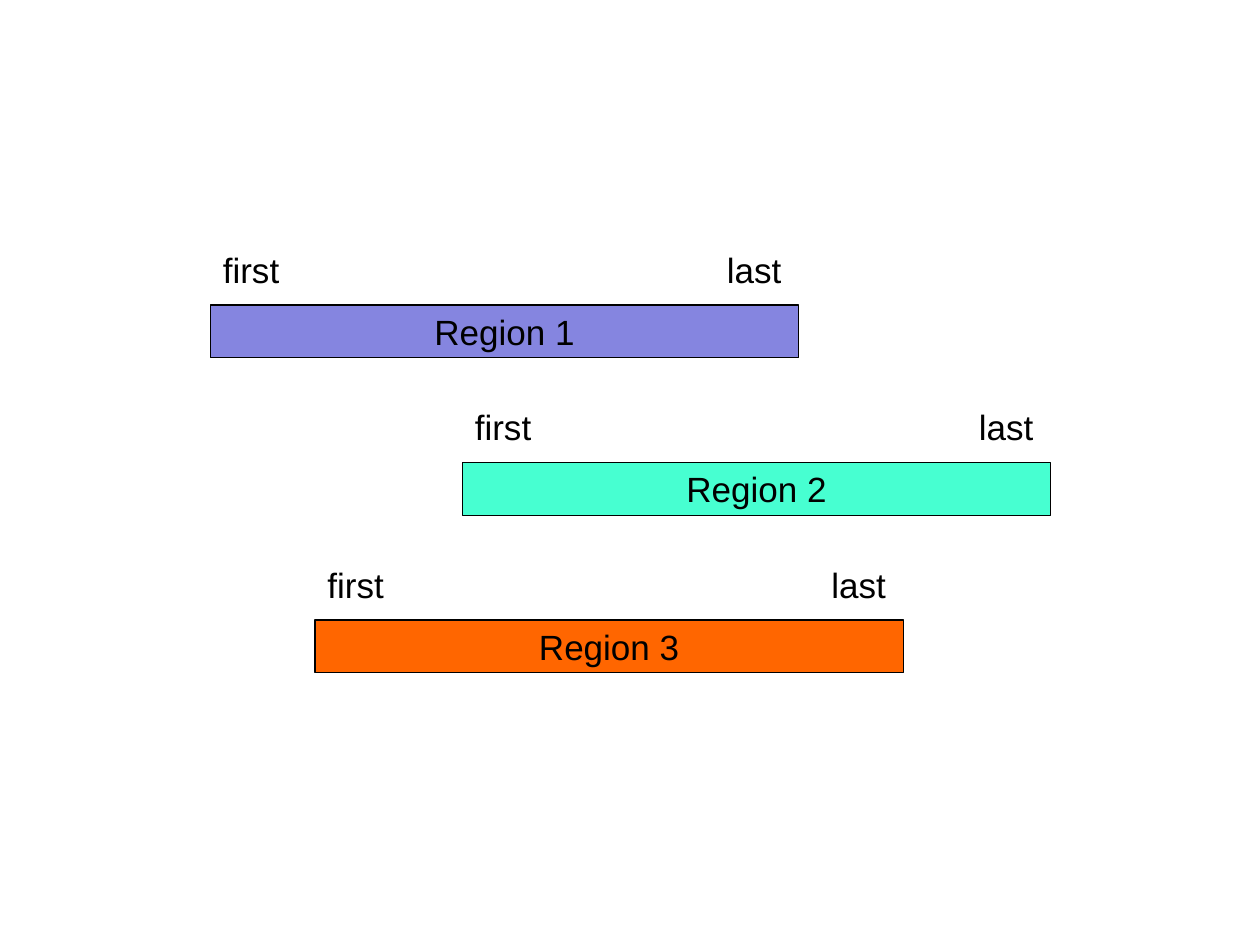
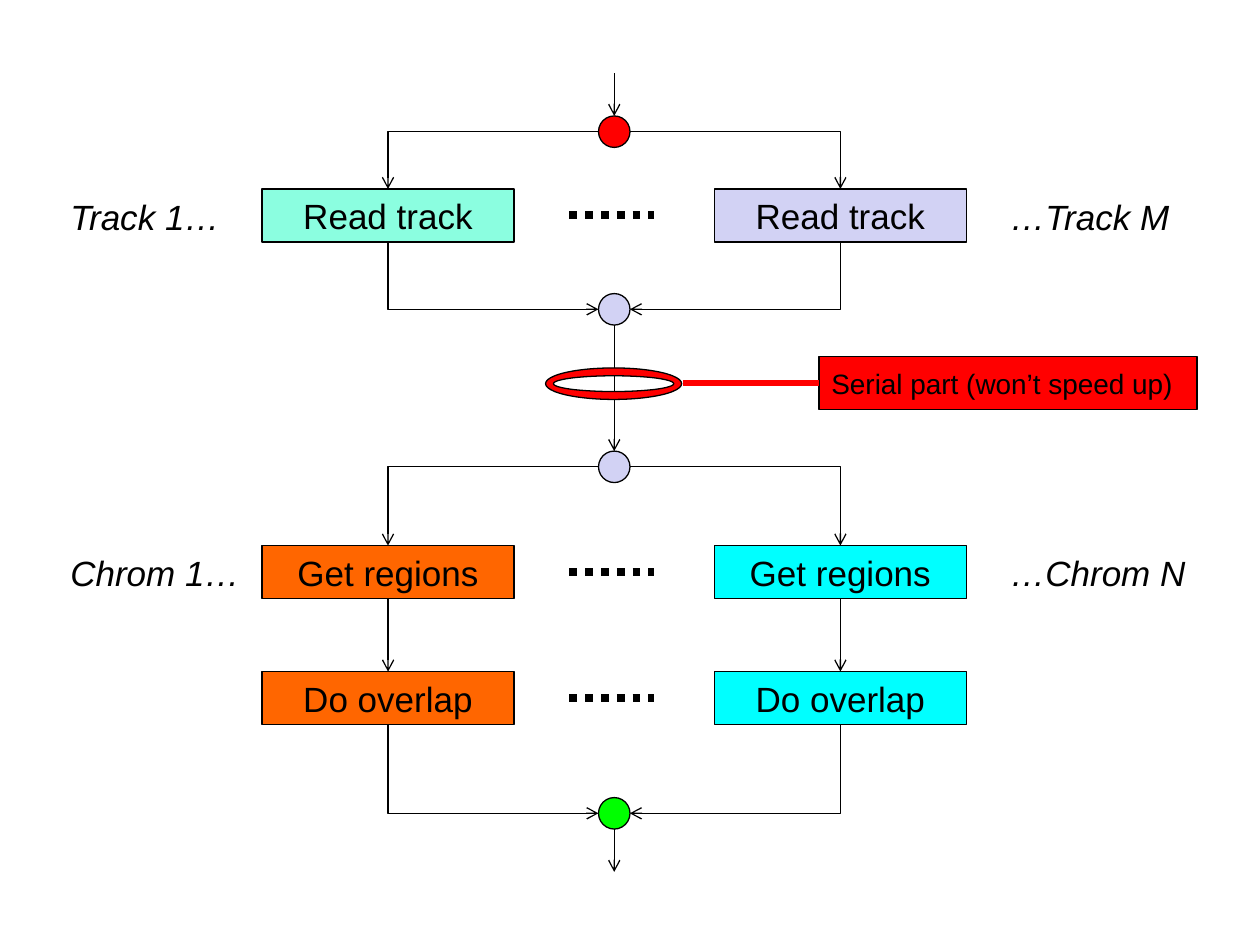
"""Build two slides: overlapping regions, and the parallel track-processing flow."""

from dataclasses import dataclass

from lxml.etree import SubElement
from pptx import Presentation
from pptx.dml.color import RGBColor
from pptx.enum.dml import MSO_LINE
from pptx.enum.shapes import MSO_CONNECTOR, MSO_SHAPE
from pptx.enum.text import MSO_ANCHOR, MSO_AUTO_SIZE, PP_ALIGN
from pptx.oxml.ns import qn
from pptx.util import Inches, Pt


@dataclass(frozen=True)
class Theme:
    font: str = "Arial"
    body: int = 20
    small: int = 16
    thin: float = 0.75
    callout: float = 3
    dots: float = 4.5
    ink: str = "000000"
    violet: str = "8585E0"
    turquoise: str = "47FFD1"
    orange: str = "FF6600"
    lavender: str = "D2D2F4"
    mint: str = "8BFEE0"
    cyan: str = "00FFFF"
    red: str = "FF0000"
    green: str = "00FF00"


THEME = Theme()

REGIONS = [
    ("Region 1", 1.67, THEME.violet),
    ("Region 2", 3.67, THEME.turquoise),
    ("Region 3", 2.5, THEME.orange),
]
REGION_TOP, REGION_STEP, REGION_WIDTH = 2.42, 1.25, 4.67
END_LABELS = [("first", 0, 0.65), ("last", 4, 0.64)]

STEPS = [
    ("Read track", 1.5, (THEME.mint, THEME.lavender)),
    ("Get regions", 4.33, (THEME.orange, THEME.cyan)),
    ("Do overlap", 5.33, (THEME.orange, THEME.cyan)),
]
NODES = {
    "start": (0.92, THEME.red),
    "tracks read": (2.33, THEME.lavender),
    "regions split": (3.58, THEME.lavender),
    "end": (6.33, THEME.green),
}
SIDE_LABELS = [
    ("Track 1…", 0.46, 1.5, 1.47),
    ("…Track M", 7.92, 1.5, 1.54),
    ("Chrom 1…", 0.46, 4.33, 1.63),
    ("…Chrom N", 7.92, 4.33, 1.67),
]
SERIAL_NOTE = "Serial part (won’t speed up)"

BAR_HEIGHT, LABEL_HEIGHT, LABEL_RISE = 0.42, 0.44, 0.5
COLUMN_LEFTS, STEP_WIDTH = (2.08, 5.67), 2
NODE_LEFT, NODE_SIZE = 4.75, 0.25
CENTER = NODE_LEFT + NODE_SIZE / 2
ENTRY_LENGTH = 0.34
DOTS_LEFT, DOTS_RIGHT = 4.52, 5.19


def write(shape, text, size=THEME.body, italic=False, align=PP_ALIGN.LEFT):
    paragraph = shape.text_frame.paragraphs[0]
    paragraph.alignment = align
    run = paragraph.add_run()
    run.text = text
    run.font.name = THEME.font
    run.font.size = Pt(size)
    run.font.italic = italic
    run.font.color.rgb = RGBColor.from_string(THEME.ink)


def add_filled(shapes, kind, left, top, width, height, color):
    shape = shapes.add_shape(kind, Inches(left), Inches(top), Inches(width), Inches(height))
    shape.shadow.inherit = False
    shape.fill.solid()
    shape.fill.fore_color.rgb = RGBColor.from_string(color)
    shape.line.color.rgb = RGBColor.from_string(THEME.ink)
    shape.line.width = Pt(THEME.thin)
    return shape


def add_bar(shapes, text, left, top, width, color, **text_format):
    bar = add_filled(shapes, MSO_SHAPE.RECTANGLE, left, top, width, BAR_HEIGHT, color)
    bar.text_frame.vertical_anchor = MSO_ANCHOR.MIDDLE
    write(bar, text, **text_format)


def add_label(shapes, text, left, top, width, **text_format):
    label = shapes.add_textbox(Inches(left), Inches(top), Inches(width), Inches(LABEL_HEIGHT))
    label.text_frame.word_wrap = False
    label.text_frame.auto_size = MSO_AUTO_SIZE.SHAPE_TO_FIT_TEXT
    write(label, text, **text_format)


def add_line(shapes, start, end, color=THEME.ink, width=THEME.thin,
             dash=None, arrow=None, elbow=False):
    kind = MSO_CONNECTOR.ELBOW if elbow else MSO_CONNECTOR.STRAIGHT
    connector = shapes.add_connector(kind, *map(Inches, (*start, *end)))
    connector.line.color.rgb = RGBColor.from_string(color)
    connector.line.width = Pt(width)
    if dash:
        connector.line.dash_style = dash
    properties = connector._element.spPr
    if elbow:
        properties.find(qn("a:prstGeom")).set("prst", "bentConnector2")
    if arrow:
        SubElement(properties.find(qn("a:ln")), qn(f"a:{arrow}"), type="arrow")
    SubElement(properties, qn("a:effectLst"))


def build_regions(slide):
    for index, (name, left, color) in enumerate(REGIONS):
        top = REGION_TOP + index * REGION_STEP
        group = slide.shapes.add_group_shape().shapes
        add_bar(group, name, left, top, REGION_WIDTH, color, align=PP_ALIGN.CENTER)
        for text, offset, width in END_LABELS:
            add_label(group, text, left + offset, top - LABEL_RISE, width)


def build_flow(slide):
    shapes = slide.shapes
    for text, top, colors in STEPS:
        for left, color in zip(COLUMN_LEFTS, colors):
            add_bar(shapes, text, left, top, STEP_WIDTH, color, align=PP_ALIGN.CENTER)
        middle = top + BAR_HEIGHT / 2
        add_line(shapes, (DOTS_LEFT, middle), (DOTS_RIGHT, middle),
                 width=THEME.dots, dash=MSO_LINE.ROUND_DOT)
    for top, color in NODES.values():
        add_filled(shapes, MSO_SHAPE.FLOWCHART_CONNECTOR, NODE_LEFT, top,
                   NODE_SIZE, NODE_SIZE, color)

    start, joined, split, end = (top for top, _ in NODES.values())
    read, get, overlap = (top for _, top, _ in STEPS)
    branches = [
        (start, read, "tailEnd"),
        (joined, read + BAR_HEIGHT, "headEnd"),
        (split, get, "tailEnd"),
        (end, overlap + BAR_HEIGHT, "headEnd"),
    ]
    for left, node_side in zip(COLUMN_LEFTS, (NODE_LEFT, NODE_LEFT + NODE_SIZE)):
        column = left + STEP_WIDTH / 2
        for node_top, step_edge, arrow in branches:
            add_line(shapes, (node_side, node_top + NODE_SIZE / 2), (column, step_edge),
                     arrow=arrow, elbow=True)
        add_line(shapes, (column, get + BAR_HEIGHT), (column, overlap), arrow="tailEnd")
    for top, bottom in [
        (start - ENTRY_LENGTH, start),
        (joined + NODE_SIZE, split),
        (end + NODE_SIZE, end + NODE_SIZE + ENTRY_LENGTH),
    ]:
        add_line(shapes, (CENTER, top), (CENTER, bottom), arrow="tailEnd")
    for text, left, top, width in SIDE_LABELS:
        add_label(shapes, text, left, top, width, italic=True)

    callout = shapes.add_group_shape().shapes
    ring = add_filled(callout, MSO_SHAPE.DONUT, 4.33, 2.92, 1.08, 0.25, THEME.red)
    ring.adjustments[0] = 0.25
    add_bar(callout, SERIAL_NOTE, 6.5, 2.83, 3, THEME.red, size=THEME.small)
    add_line(callout, (5.42, 3.04), (6.5, 3.04), color=THEME.red, width=THEME.callout)


presentation = Presentation()
presentation.slide_width, presentation.slide_height = Inches(10), Inches(7.5)
blank_layout = presentation.slide_layouts[6]
for build in (build_regions, build_flow):
    build(presentation.slides.add_slide(blank_layout))
presentation.save("out.pptx")
